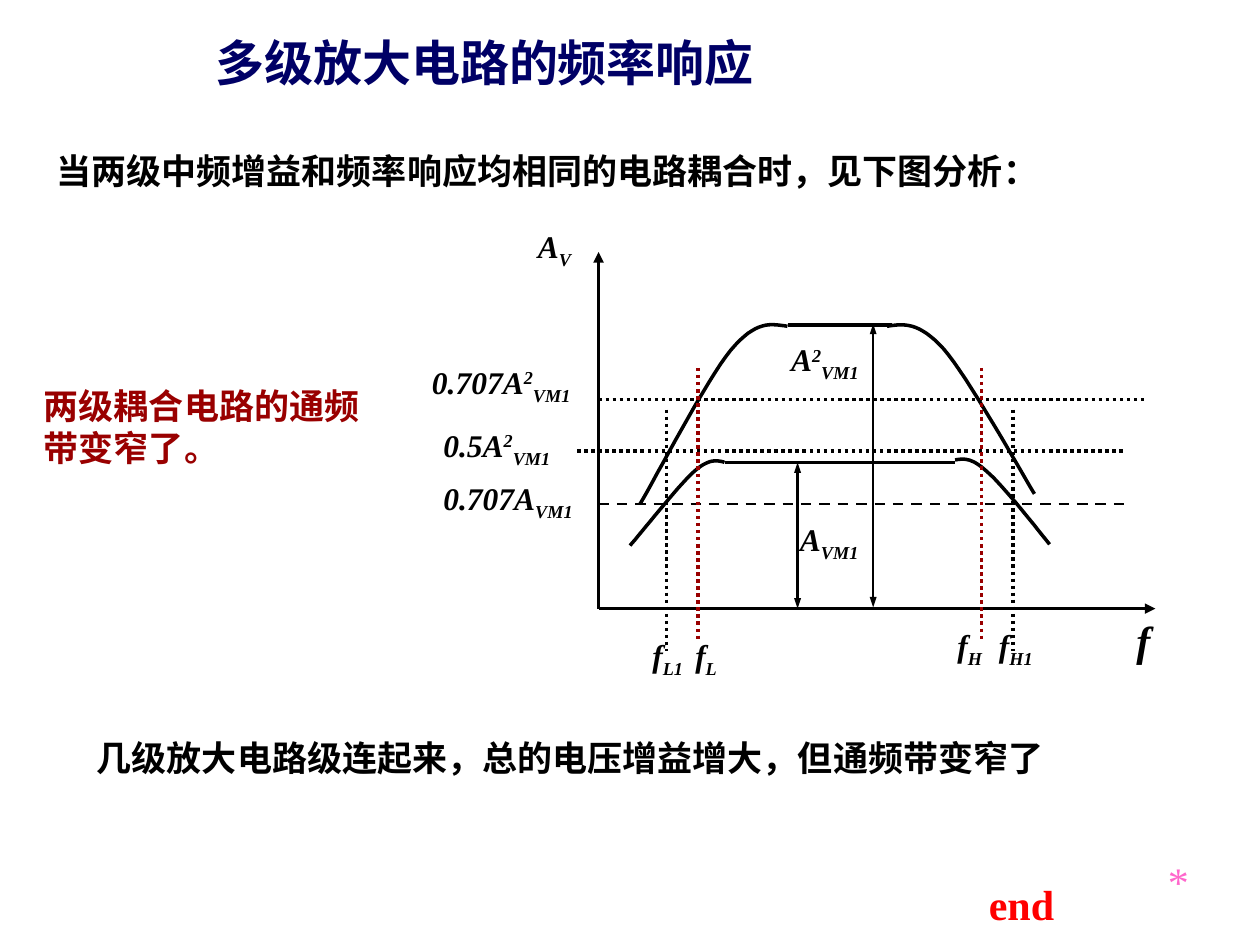
from lxml.etree import SubElement
from pptx import Presentation
from pptx.dml.color import RGBColor
from pptx.enum.dml import MSO_LINE
from pptx.enum.shapes import MSO_CONNECTOR
from pptx.enum.text import MSO_ANCHOR, MSO_AUTO_SIZE, PP_ALIGN
from pptx.oxml.ns import qn
from pptx.util import Inches, Pt

COLORS = {"black": "000000", "red": "990000", "navy": "000066",
          "end": "FF0000", "pink": "FF66CC"}
FONT = "Times New Roman"
SUP, SUB = 30, -25
AXIS_X, AXIS_Y = 4.75, 4.83
UNITS = 1000


def color(name):
    """Return the named palette colour."""
    return RGBColor.from_string(COLORS[name])


def add_run(p, text, size=20, fill="black", bold=True, italic=False, base=0):
    """Append one formatted run to a paragraph."""
    r = p.add_run()
    r.text = text
    r.font.name = FONT
    r.font.size = Pt(size)
    r.font.bold = bold
    r.font.italic = italic
    r.font.color.rgb = color(fill)
    if base:
        r.font._element.set("baseline", str(base * 1000))


def add_text(s, text, left, top, width, height, spacing=None, **fmt):
    """Add a wrapped text box holding one formatted paragraph."""
    tf = s.shapes.add_textbox(*map(Inches, (left, top, width, height))).text_frame
    tf.word_wrap = True
    p = tf.paragraphs[0]
    if spacing:
        p.line_spacing = spacing
    add_run(p, text, **fmt)
    return p


def add_symbol(s, text, left, top, width, sub, sup=None):
    """Add an italic symbol with a subscript and an optional superscript."""
    fmt = dict(size=18, italic=True)
    p = add_text(s, text, left, top, width, 0.4, **fmt)
    if sup:
        add_run(p, sup, base=SUP, **fmt)
    add_run(p, sub, base=SUB, **fmt)


def add_line(s, x1, y1, x2, y2, width=2, fill="black", dash=None, arrows=(), head="med"):
    """Add a straight line with optional dashes and arrowheads."""
    sp = s.shapes.add_connector(MSO_CONNECTOR.STRAIGHT, *map(Inches, (x1, y1, x2, y2)))
    sp.line.width = Pt(width)
    sp.line.color.rgb = color(fill)
    if dash:
        sp.line.dash_style = dash
    for end in arrows:
        SubElement(sp.line._get_or_add_ln(), qn(f"a:{end}"), type="triangle", w=head)
    SubElement(sp._element.spPr, qn("a:effectLst"))


def bezier(p0, p1, p2, p3, steps=16):
    """Return points along a cubic curve, leaving out its start."""
    ts = [i / steps for i in range(1, steps + 1)]
    return [tuple((1 - t) ** 3 * a + 3 * (1 - t) ** 2 * t * b
                  + 3 * (1 - t) * t ** 2 * c + t ** 3 * d
                  for a, b, c, d in zip(p0, p1, p2, p3)) for t in ts]


def add_curve(s, *nodes):
    """Add an open outline through two joined cubic curves."""
    points = [nodes[0]] + bezier(*nodes[:4]) + bezier(*nodes[3:])
    start, *rest = [(round(x * UNITS), round(y * UNITS)) for x, y in points]
    fb = s.shapes.build_freeform(*start, scale=Inches(1) / UNITS)
    fb.add_line_segments(rest, close=False)
    sp = fb.convert_to_shape()
    sp.shadow.inherit = False
    sp.fill.background()
    sp.line.width = Pt(2)
    sp.line.color.rgb = color("black")


def add_title(s, text):
    """Place and format the slide title."""
    sp = s.shapes.title
    sp.left, sp.top, sp.width, sp.height = map(Inches, (1.61, 0.21, 5.75, 0.57))
    tf = sp.text_frame
    tf.auto_size = MSO_AUTO_SIZE.NONE
    tf.vertical_anchor = MSO_ANCHOR.MIDDLE
    p = tf.paragraphs[0]
    p.alignment = PP_ALIGN.LEFT
    add_run(p, text, size=28, fill="navy")


def add_axes(s):
    """Draw the gain and frequency axes with their names."""
    add_line(s, AXIS_X, AXIS_Y, 9.17, AXIS_Y, arrows=["tailEnd"])
    add_line(s, AXIS_X, AXIS_Y, AXIS_X, 2, arrows=["tailEnd"])
    add_symbol(s, "A", 4.17, 1.75, 1, "V")
    add_text(s, "f", 8.92, 4.83, 0.75, 0.5, size=24, italic=True)


def add_responses(s):
    """Draw the one-stage and two-stage response curves."""
    add_line(s, 5.75, 3.67, 7.58, 3.67)
    add_curve(s, (5.75, 3.67), (5.69, 3.65), (5.62, 3.64), (5.5, 3.75),
              (5.38, 3.86), (5.08, 4.24), (5, 4.33))
    add_curve(s, (7.58, 3.65), (7.65, 3.64), (7.71, 3.63), (7.83, 3.74),
              (7.96, 3.85), (8.25, 4.22), (8.33, 4.32))
    add_line(s, 6.25, 2.58, 7.08, 2.58)
    add_curve(s, (6.25, 2.59), (6.12, 2.57), (6, 2.54), (5.8, 2.78),
              (5.61, 3.01), (5.2, 3.8), (5.08, 4))
    add_curve(s, (7.04, 2.59), (7.17, 2.57), (7.29, 2.55), (7.49, 2.77),
              (7.68, 2.99), (8.09, 3.72), (8.21, 3.92))


def add_levels(s):
    """Draw the gain levels and the mid-band gain arrows."""
    dot = MSO_LINE.ROUND_DOT
    for x1, x2, y, width, dash in [(4.75, 8.92, 4, 1.5, MSO_LINE.DASH),
                                   (4.58, 8.92, 3.58, 2, dot),
                                   (4.75, 9.08, 3.17, 2, dot)]:
        add_line(s, x1, y, x2, y, width=width, dash=dash)
    for x, y1, y2 in [(6.33, 3.67, AXIS_Y), (6.93, 2.57, 4.82)]:
        add_line(s, x, y1, x, y2, width=1.5, arrows=["headEnd", "tailEnd"], head="sm")
    for text, sup, left, top, width in [("0.707A", None, 3.42, 3.75, 1.42),
                                        ("0.5A", "2", 3.42, 3.33, 1.33),
                                        ("0.707A", "2", 3.33, 2.83, 1.75),
                                        ("A", None, 6.25, 4.08, 1.5),
                                        ("A", "2", 6.18, 2.65, 0.83)]:
        add_symbol(s, text, left, top, width, "VM1", sup)


def add_cutoffs(s):
    """Draw the cutoff frequencies of both responses."""
    for fill, top, bottom, marks in [
            ("black", 3.25, 5.17, [(5.29, "L1", 5.08, 5, 1), (8.04, "H1", 7.83, 4.92, 1)]),
            ("red", 2.92, 5.08, [(5.54, "L", 5.42, 5, 0.67), (7.79, "H", 7.5, 4.92, 0.67)])]:
        for x, sub, left, label_top, width in marks:
            add_line(s, x, top, x, bottom, fill=fill, dash=MSO_LINE.ROUND_DOT)
            add_symbol(s, "f", left, label_top, width, sub)


def main():
    """Build and save the slide."""
    prs = Presentation()
    prs.slide_width, prs.slide_height = Inches(10), Inches(7.5)
    s = prs.slides.add_slide(prs.slide_layouts[5])
    add_title(s, "多级放大电路的频率响应")
    add_text(s, "当两级中频增益和频率响应均相同的电路耦合时，见下图分析：",
             0.35, 1.07, 9.08, 0.5, spacing=1.2)
    add_axes(s)
    add_responses(s)
    add_levels(s)
    add_cutoffs(s)
    add_text(s, "两级耦合电路的通频带变窄了。", 0.25, 3, 2.83, 0.77, fill="red")
    add_text(s, "几级放大电路级连起来，总的电压增益增大，但通频带变窄了",
             0.67, 5.8, 8.19, 0.43)
    add_text(s, "end", 7.75, 6.92, 0.83, 0.5, size=24, fill="end")
    add_text(s, "*", 9.17, 6.74, 0.47, 0.5, size=24, fill="pink", bold=False)
    prs.save("out.pptx")


if __name__ == "__main__":
    main()
